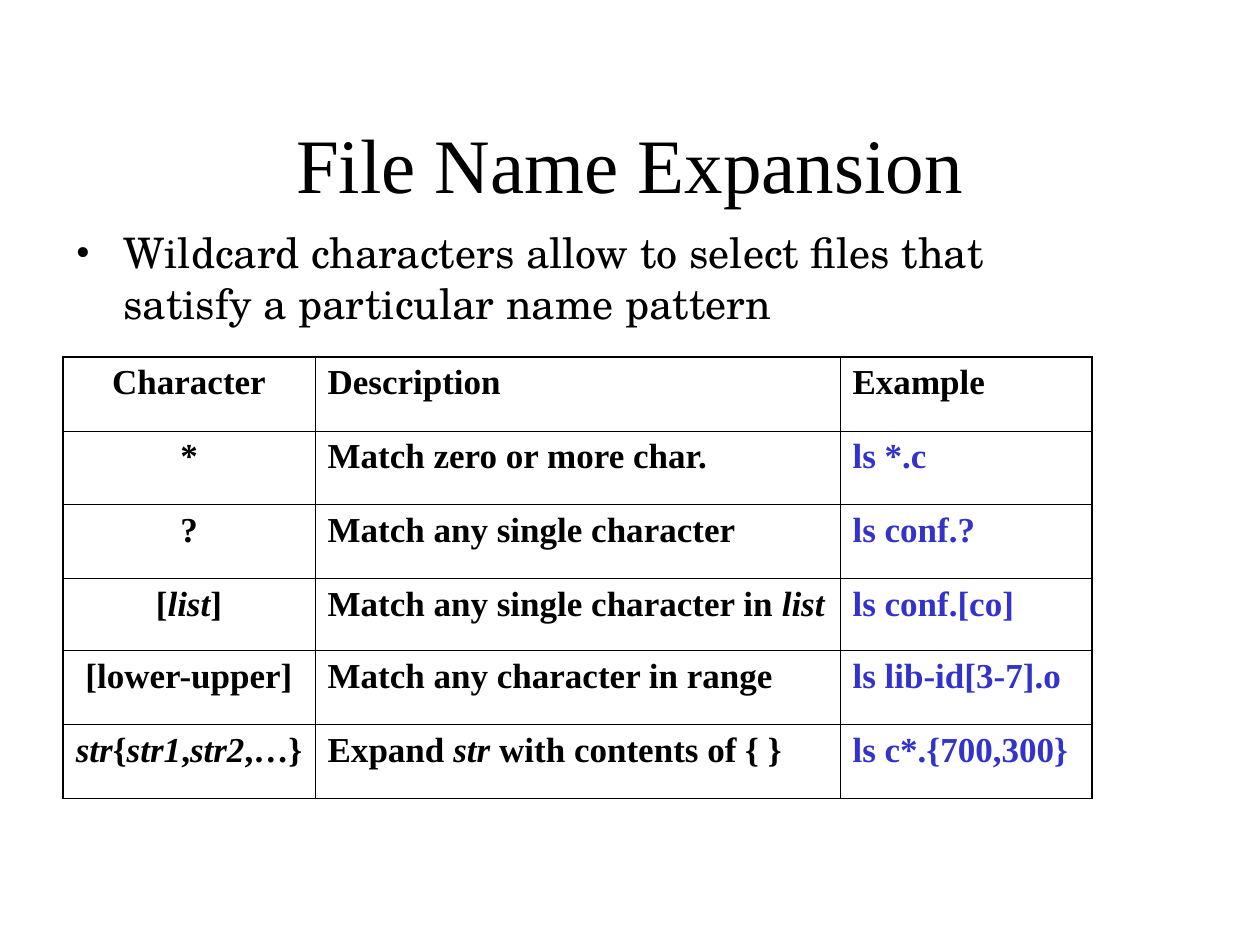
from lxml.etree import SubElement
from pptx import Presentation
from pptx.dml.color import RGBColor
from pptx.enum.text import MSO_ANCHOR as Anchor, MSO_AUTO_SIZE as AutoSize, PP_ALIGN as Align
from pptx.oxml.ns import qn
from pptx.util import Inches, Pt

BLACK = RGBColor(0x00, 0x00, 0x00)
BLUE = RGBColor(0x33, 0x33, 0xCC)

# Underscores enclose italic words
HEADER = ("Character", "Description", "Example")
WILDCARDS = [
    ("*", "Match zero or more char.", "ls *.c"),
    ("?", "Match any single character", "ls conf.?"),
    ("[_list_]", "Match any single character in _list_", "ls conf.[co]"),
    ("[lower-upper]", "Match any character in range", "ls lib-id[3-7].o"),
    ("_str_{_str1_,_str2_,…}", "Expand _str_ with contents of { }", "ls c*.{700,300}"),
]


class SlideBuilder:
    """Style and current slide; lengths are cells of a 60 by 45 grid."""

    CELL = Inches(10) / 60
    SERIF = "Times New Roman"
    BOOK = "TeX Gyre Schola"
    OUTER, INNER = Pt(1.08), Pt(0.45)

    def __init__(self, deck):
        self.slide = deck.slides.add_slide(deck.slide_layouts[1])

    def grid(self, *cells):
        return [round(cell * self.CELL) for cell in cells]

    def place(self, holder, text, box, anchor):
        holder.left, holder.top, holder.width, holder.height = self.grid(*box)
        frame = holder.text_frame
        frame.text = text
        frame.word_wrap = True
        frame.auto_size = AutoSize.NONE
        frame.vertical_anchor = anchor
        return frame.paragraphs[0]

    def style(self, paragraph, face, size, color=BLACK, bold=False):
        paragraph.space_before = Pt(0)
        for run in paragraph.runs:
            run.font.name, run.font.size = face, Pt(size)
            run.font.bold, run.font.color.rgb = bold, color

    def title(self, text, *box):
        heading = self.place(self.slide.shapes.title, text, box, Anchor.MIDDLE)
        heading.alignment = Align.CENTER
        self.style(heading, self.SERIF, 44)

    def bullet(self, text, *box):
        point = self.place(self.slide.placeholders[1], text, box, Anchor.TOP)
        props = point._p.get_or_add_pPr()
        indent = Inches(0.38)
        props.set("marL", str(indent))
        props.set("indent", str(-indent))
        bullet_color = SubElement(props, qn("a:buClr"))
        SubElement(bullet_color, qn("a:srgbClr"), val=str(BLACK))
        SubElement(props, qn("a:buFont"), typeface=self.SERIF)
        SubElement(props, qn("a:buChar"), char="•")
        self.style(point, self.BOOK, 24)

    def borders(self, cell, outer_sides):
        props = cell._tc.get_or_add_tcPr()
        for index, side in enumerate("LRTB"):
            width = self.OUTER if side in outer_sides else self.INNER
            line = SubElement(props, qn(f"a:ln{side}"), w=str(width))
            fill = SubElement(line, qn("a:solidFill"))
            SubElement(fill, qn("a:srgbClr"), val=str(BLACK))
            props.insert(index, line)

    def fill_cell(self, cell, text, color, align):
        paragraph = cell.text_frame.paragraphs[0]
        paragraph.alignment = align
        for index, part in enumerate(text.split("_")):
            if part:
                run = paragraph.add_run()
                run.text = part
                run.font.italic = index % 2 == 1
        self.style(paragraph, self.SERIF, 20, color, bold=True)
        cell.fill.background()

    def table(self, rows, left, top, widths, heights):
        last_row, last_col = len(heights) - 1, len(widths) - 1
        box = self.grid(left, top, sum(widths), sum(heights))
        table = self.slide.shapes.add_table(len(heights), len(widths), *box).table
        table.first_row = table.horz_banding = False
        for column, width in zip(table.columns, self.grid(*widths)):
            column.width = width
        for row, height in zip(table.rows, self.grid(*heights)):
            row.height = height
        for r, texts in enumerate(rows):
            for c, text in enumerate(texts):
                cell = table.cell(r, c)
                color = BLUE if r > 0 and c == last_col else BLACK
                self.fill_cell(cell, text, color, Align.LEFT if c else Align.CENTER)
                edges = {"L": c == 0, "R": c == last_col, "T": r == 0, "B": r == last_row}
                self.borders(cell, [side for side, outer in edges.items() if outer])


def main():
    deck = Presentation()
    deck.slide_width, deck.slide_height = Inches(10), Inches(7.5)
    page = SlideBuilder(deck)

    # Heading and introduction
    page.title("File Name Expansion", 4.5, 4, 51, 7.5)
    page.bullet(
        "Wildcard characters allow to select files that satisfy a particular name pattern",
        3, 10.5, 49, 32,
    )

    # Wildcard reference; the list row is slightly lower
    heights = [3.52] * 3 + [3.43] + [3.52] * 2
    page.table([HEADER, *WILDCARDS], 3, 17, (12, 25, 12), heights)

    deck.save("out.pptx")


if __name__ == "__main__":
    main()
